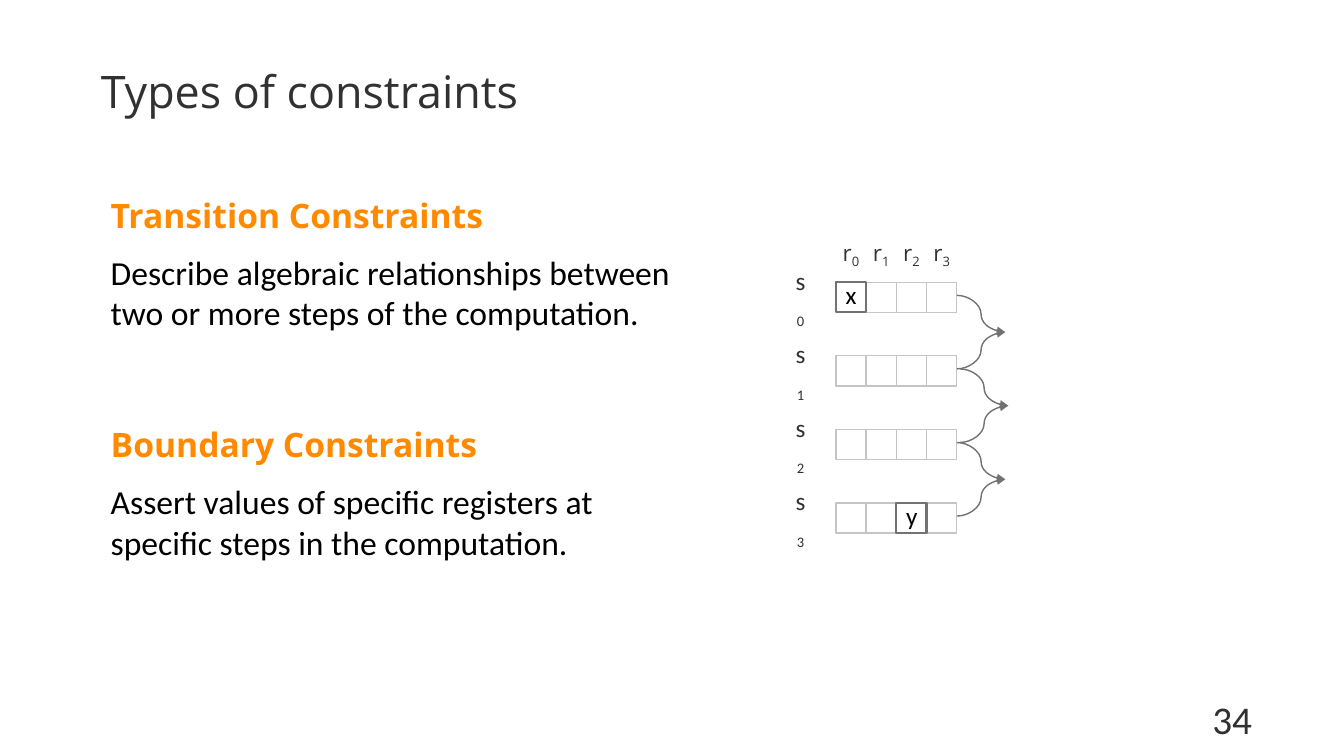
from dataclasses import dataclass

from lxml import etree
from pptx import Presentation
from pptx.dml.color import RGBColor
from pptx.enum import shapes, text
from pptx.oxml import ns
from pptx.util import Inches, Pt

COLORS = {"ink": "313131", "accent": "FF8A00", "body": "000000",
          "grid": "C5C5C5", "mark": "727272", "paper": "FFFFFF"}
HEADING_FONT, BODY_FONT = "Open Sans", "Calibri"
DEFAULT_INSETS = (0.1, 0.05, 0.1, 0.05)

# Register trace geometry, in inches
CELL, ROW_PITCH = 0.3, 0.73
GRID_LEFT, GRID_TOP, STEPS, REGISTERS = 8.29, 2.8, 4, 4
MARKED_CELLS = {(0, 0): "x", (3, 2): "y"}


@dataclass
class Section:
    top: float
    width: float
    heading: str
    detail: str


@dataclass
class Style:
    font: str
    size: int
    color: str = "ink"
    bold: bool = False


SECTIONS = [
    Section(1.88, 5.8, "Transition Constraints",
            "Describe algebraic relationships between two or more steps of the computation."),
    Section(4.16, 5.67, "Boundary Constraints",
            "Assert values of specific registers at specific steps in the computation."),
]


def rgb(name: str) -> RGBColor:
    return RGBColor.from_string(COLORS[name])


def style_span(span, style: Style) -> None:
    span.font.name = style.font
    span.font.size = Pt(style.size)
    span.font.bold = style.bold
    span.font.color.rgb = rgb(style.color)


def set_frame(frame, anchor, insets=DEFAULT_INSETS) -> None:
    frame.word_wrap = True
    frame.auto_size = text.MSO_AUTO_SIZE.NONE
    frame.vertical_anchor = anchor
    (frame.margin_left, frame.margin_top,
     frame.margin_right, frame.margin_bottom) = map(Inches, insets)


def add_text(page, bounds, words: str, style: Style, anchor=text.MSO_ANCHOR.TOP,
             align=text.PP_ALIGN.LEFT, insets=DEFAULT_INSETS, subscript: str = ""):
    box = page.shapes.add_textbox(*map(Inches, bounds))
    set_frame(box.text_frame, anchor, insets)
    box.text_frame.text = words
    para = box.text_frame.paragraphs[0]
    para.alignment = align
    style_span(para.runs[0], style)
    if subscript:
        span = para.add_run()
        span.text = subscript
        style_span(span, style)
        span.font._element.set("baseline", "-25000")
    return box


def add_section(page, section: Section) -> None:
    box = add_text(page, (1, section.top, section.width, 1.65), section.heading,
                   Style(HEADING_FONT, 24, "accent", True))
    para = box.text_frame.add_paragraph()
    para.text = section.detail
    para.space_before = para.space_after = Pt(12)
    style_span(para.runs[0], Style(BODY_FONT, 24, "body"))


def add_cell(page, row: int, column: int, value: str = "") -> None:
    box = page.shapes.add_shape(
        shapes.MSO_SHAPE.RECTANGLE, Inches(GRID_LEFT + column * CELL),
        Inches(GRID_TOP + row * ROW_PITCH), Inches(CELL), Inches(CELL))
    box.shadow.inherit = False
    box.fill.solid()
    box.fill.fore_color.rgb = rgb("paper")
    box.line.color.rgb = rgb("mark" if value else "grid")
    box.line.width = Pt(1.5 if value else 1)
    if value:
        set_frame(box.text_frame, text.MSO_ANCHOR.MIDDLE, (0.1, 0, 0.1, 0.05))
        box.text_frame.text = value
        para = box.text_frame.paragraphs[0]
        para.alignment = text.PP_ALIGN.CENTER
        style_span(para.runs[0], Style(BODY_FONT, 18, "body"))


def add_curved_arrow(page, start: tuple[float, float], end: tuple[float, float]) -> None:
    arrow = page.shapes.add_connector(shapes.MSO_CONNECTOR.CURVE,
                                      *map(Inches, (*start, *end)))
    arrow.line.color.rgb = rgb("mark")
    arrow.line.width = Pt(1)
    etree.SubElement(arrow.line._get_or_add_ln(), ns.qn("a:tailEnd"), type="triangle")
    etree.SubElement(arrow._element.spPr, ns.qn("a:effectLst"))


def add_trace(page) -> None:
    # Step labels and plain cells
    for row in range(STEPS):
        add_text(page, (7.79, GRID_TOP + row * ROW_PITCH, CELL, CELL), "s",
                 Style(BODY_FONT, 18), text.MSO_ANCHOR.MIDDLE,
                 text.PP_ALIGN.CENTER, subscript=str(row))
        for column in range(REGISTERS):
            if (row, column) not in MARKED_CELLS:
                add_cell(page, row, column)

    # Register labels
    for column in range(REGISTERS):
        add_text(page, (GRID_LEFT + column * CELL, 2.42, CELL, CELL), "r",
                 Style(HEADING_FONT, 16), text.MSO_ANCHOR.BOTTOM,
                 text.PP_ALIGN.CENTER, (0, 0.05, 0, 0.05), str(column))

    # Each pair of neighbouring steps meets in one arrow tip
    for row in range(STEPS - 1):
        left = GRID_LEFT + REGISTERS * CELL + (0.03 if row == 1 else 0)
        upper = GRID_TOP + 0.13 + row * ROW_PITCH
        tip = (left + 0.48, upper + ROW_PITCH / 2)
        for level in (upper, upper + ROW_PITCH):
            add_curved_arrow(page, (left, level), tip)

    # Cells fixed by boundary constraints
    for (row, column), value in MARKED_CELLS.items():
        add_cell(page, row, column, value)


def main() -> None:
    deck = Presentation()
    deck.slide_width, deck.slide_height = Inches(13.33), Inches(7.5)
    page = deck.slides.add_slide(deck.slide_layouts[6])

    # Title and page number
    add_text(page, (1, 0.5, 11.33, 0.8), "Types of constraints",
             Style(HEADING_FONT, 32), text.MSO_ANCHOR.MIDDLE, insets=(0, 0.05, 0, 0.05))
    add_text(page, (11.11, 6.85, 2.22, 0.4), "34", Style(BODY_FONT, 28),
             align=text.PP_ALIGN.CENTER)

    # Explanations and diagram
    for section in SECTIONS:
        add_section(page, section)
    add_trace(page)
    deck.save("out.pptx")


if __name__ == "__main__":
    main()
